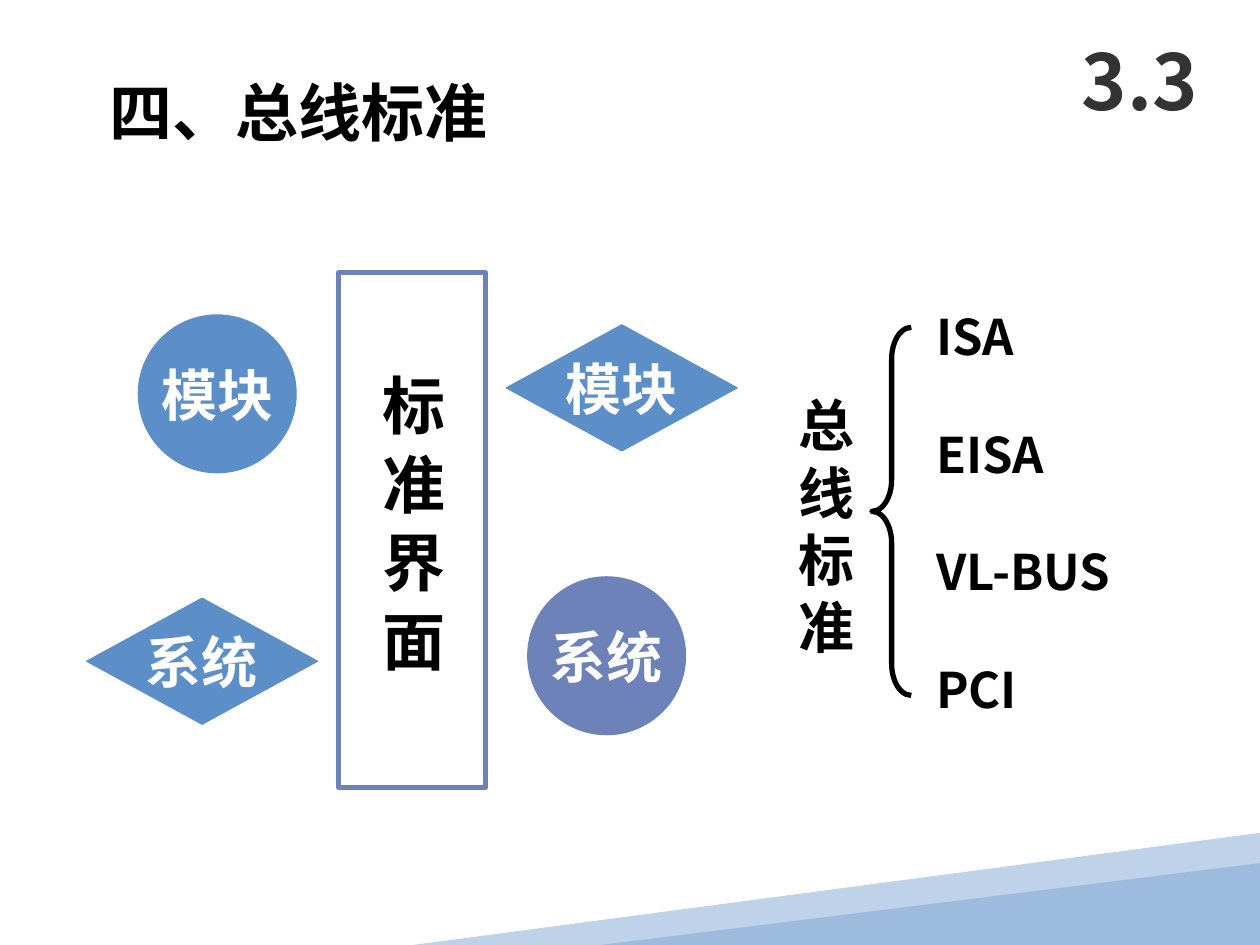
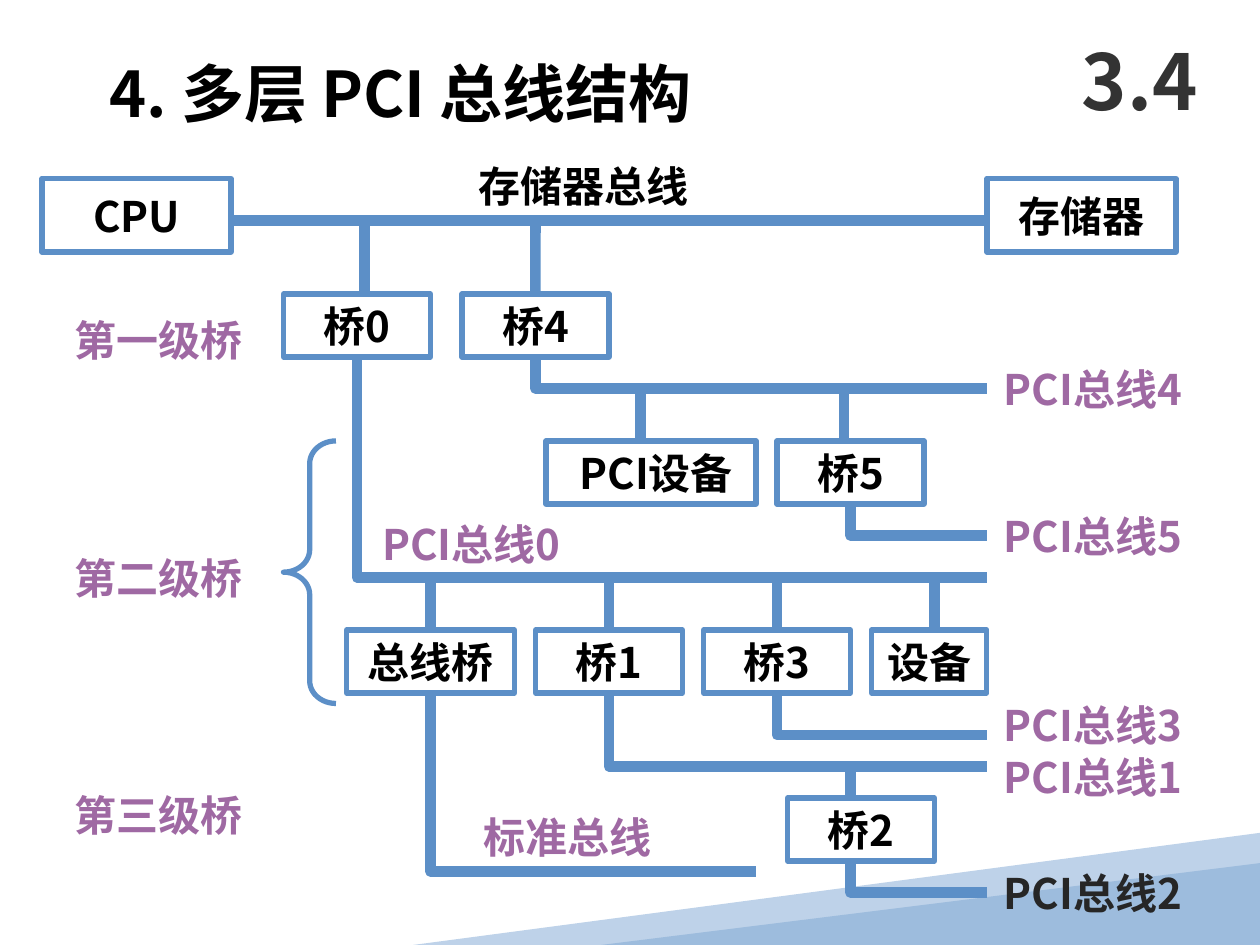
from dataclasses import dataclass
from typing import Any, Optional

from lxml.etree import SubElement
from pptx import Presentation
from pptx.dml.color import RGBColor
from pptx.enum.shapes import MSO_CONNECTOR, MSO_SHAPE
from pptx.enum.text import MSO_ANCHOR, MSO_AUTO_SIZE, PP_ALIGN
from pptx.oxml.ns import qn
from pptx.util import Cm, Pt

FONT = "Noto Sans CJK SC"
BLUE, INDIGO, PURPLE = "5C8FC7", "6E82BA", "9F69A3"
LIGHT_BAND, DARK_BAND = "BED2E9", "9DBCDD"
BLACK, WHITE, CHARCOAL, NEAR_BLACK = "000000", "FFFFFF", "333333", "262626"
LINE_HEIGHT = 1.2
BUS_WIDTH, OUTLINE_WIDTH = 6, 3
BUS_END = 94
GRID = 2.54 / 12  # the bus diagram stands on a grid of 12 steps to the inch


@dataclass
class TextStyle:
    size: float
    color: str = BLACK
    align: PP_ALIGN = PP_ALIGN.LEFT
    anchor: MSO_ANCHOR = MSO_ANCHOR.TOP
    wrap: bool = True
    gap: float = 0


TITLE = TextStyle(36)
SECTION = TextStyle(44, CHARCOAL, PP_ALIGN.CENTER, MSO_ANCHOR.MIDDLE)
BADGE = TextStyle(32, WHITE, PP_ALIGN.CENTER, MSO_ANCHOR.MIDDLE, wrap=False)
NODE = TextStyle(24, BLACK, PP_ALIGN.CENTER, MSO_ANCHOR.MIDDLE, wrap=False)
STANDARDS = TextStyle(28, gap=33.6)


@dataclass
class Badge:
    text: str
    kind: MSO_SHAPE
    left: float
    top: float
    width: float
    height: float
    color: str = BLUE


@dataclass
class Node:
    """A box in grid steps, hung by a stem from the bus at height bus."""
    text: str
    left: float
    top: float
    width: float = 14
    height: float = 6
    bus: Optional[float] = None
    stem: float = 0


@dataclass
class Elbow:
    """A bus in grid steps: down from a box, then to the right."""
    x: float
    top: float
    bottom: float
    end: float = BUS_END


@dataclass
class Label:
    text: str
    left: float
    top: float
    width: float
    color: str = PURPLE


BADGES = [
    Badge("模块", MSO_SHAPE.OVAL, 2.79, 6.35, 3.18, 3.18),
    Badge("系统", MSO_SHAPE.OVAL, 10.64, 11.63, 3.18, 3.18, INDIGO),
    Badge("系统", MSO_SHAPE.DIAMOND, 1.75, 12.06, 4.65, 2.54),
    Badge("模块", MSO_SHAPE.DIAMOND, 10.21, 6.55, 4.65, 2.54),
]

NODES = [
    Node("CPU", 4, 17, 18, 7),
    Node("存储器", 94, 17, 18, 7),
    Node("桥0", 27, 28, bus=21, stem=34.7),
    Node("桥4", 44, 28, bus=21, stem=51),
    Node("PCI设备", 52, 42, 20, bus=37, stem=61),
    Node("桥5", 74, 42, bus=37, stem=80.4),
    Node("总线桥", 33, 60, 16, bus=55, stem=41),
    Node("桥1", 51, 60, bus=55, stem=58),
    Node("桥3", 67, 60, bus=55, stem=74),
    Node("设备", 83, 60, 11, bus=55, stem=89),
    Node("桥2", 75, 76, bus=73, stem=81),
]

ELBOWS = [
    Elbow(51, 34, 37),
    Elbow(81, 48, 51),
    Elbow(34, 34, 55),
    Elbow(74, 66, 70),
    Elbow(58, 66, 73),
    Elbow(41, 66, 83, 72),
    Elbow(81, 82, 85),
]

LEVELS = [("第一级桥", 29.3), ("第二级桥", 52), ("第三级桥", 74.6)]
BUSES = [(4, 34), (5, 48), (3, 66), (1, 71)]
LABELS = [
    *(Label(text, 5.9, top, 18.4) for text, top in LEVELS),
    *(Label(f"PCI总线{number}", 94.4, top, 21.2) for number, top in BUSES),
    Label("PCI总线2", 94.4, 82, 21.2, NEAR_BLACK),
    Label("PCI总线0", 35.2, 48.8, 21.2),
    Label("标准总线", 44.9, 76.7, 18.4),
    Label("存储器总线", 44.4, 14.7, 22.4, BLACK),
]


def rgb(color: str) -> RGBColor:
    return RGBColor.from_string(color)


def grid(*steps: float) -> list[Cm]:
    return [Cm(step * GRID) for step in steps]


def cm(*values: float) -> list[Cm]:
    return [Cm(value) for value in values]


def apply_format(target: Any, values: dict[str, Any]) -> None:
    for name, value in values.items():
        setattr(target, name, value)


def place(shape: Any, left: Cm, top: Cm, width: Cm, height: Cm) -> None:
    apply_format(shape, {"left": left, "top": top, "width": width, "height": height})


def write(shape: Any, lines: list[str], style: TextStyle) -> None:
    """Fill a shape with one paragraph for each line."""
    frame = shape.text_frame
    apply_format(frame, {
        "auto_size": MSO_AUTO_SIZE.NONE,
        "word_wrap": style.wrap,
        "vertical_anchor": style.anchor,
        "margin_left": Cm(0.25), "margin_right": Cm(0.25),
        "margin_top": Cm(0.13), "margin_bottom": Cm(0.13),
    })
    for index, line in enumerate(lines):
        paragraph = frame.add_paragraph() if index else frame.paragraphs[0]
        apply_format(paragraph, {
            "alignment": style.align,
            "line_spacing": Pt(style.size * LINE_HEIGHT),
            "space_before": Pt(style.gap if index else 0),
            "space_after": Pt(0),
        })
        run = paragraph.add_run()
        run.text = line
        apply_format(run.font, {"name": FONT, "size": Pt(style.size), "bold": True})
        run.font.color.rgb = rgb(style.color)
    for properties in shape.element.iter(qn("a:rPr")):
        SubElement(properties, qn("a:ea")).set("typeface", FONT)


def paint(shape: Any, fill: Optional[str] = None, line: Optional[str] = None,
          width: float = 0.75) -> None:
    shape.shadow.inherit = False
    if fill:
        shape.fill.solid()
        shape.fill.fore_color.rgb = rgb(fill)
    else:
        shape.fill.background()
    if line:
        shape.line.color.rgb = rgb(line)
        shape.line.width = Pt(width)
    else:
        shape.line.fill.background()


def add_text(slide: Any, box: list[Cm], lines: list[str], style: TextStyle) -> Any:
    shape = slide.shapes.add_textbox(*box)
    write(shape, lines, style)
    return shape


def add_path(shapes: Any, points: list[list[Cm]], close: bool) -> Any:
    builder = shapes.build_freeform(*points[0], scale=1.0)
    builder.add_line_segments(points[1:], close=close)
    return builder.convert_to_shape()


def add_brace(slide: Any, box: list[Cm], bend: float, color: str) -> None:
    brace = slide.shapes.add_shape(MSO_SHAPE.LEFT_BRACE, *box)
    brace.adjustments[0] = bend
    paint(brace, line=color, width=OUTLINE_WIDTH)


def add_bands(slide: Any) -> None:
    group = slide.shapes.add_group_shape()
    corners = [cm(25.4, 16.79), cm(25.4, 18.9), cm(17.09, 19.05), cm(8.33, 19.05)]
    paint(add_path(group.shapes, corners, close=True), LIGHT_BAND)
    triangle = group.shapes.add_shape(MSO_SHAPE.ISOSCELES_TRIANGLE,
                                      *cm(12.12, 17.4, 13.28, 1.65))
    triangle.adjustments[0] = 1
    paint(triangle, DARK_BAND)


def start_slide(presentation: Any, layout: int, title: str, top: float,
                section: str) -> Any:
    """Add a slide with the shared bands, title and section number."""
    slide = presentation.slides.add_slide(presentation.slide_layouts[layout])
    add_bands(slide)
    place(slide.shapes.title, *cm(1.95, top, 16, 1.78))
    write(slide.shapes.title, [title], TITLE)
    add_text(slide, cm(21.39, 0.43, 3.18, 2.34), [section], SECTION)
    return slide


def add_bus_line(slide: Any, start: list[Cm], end: list[Cm]) -> Any:
    connector = slide.shapes.add_connector(MSO_CONNECTOR.STRAIGHT, *start, *end)
    connector.line.color.rgb = rgb(BLUE)
    connector.line.width = Pt(BUS_WIDTH)
    SubElement(connector.element.spPr, qn("a:effectLst"))
    return connector


def add_node(slide: Any, node: Node) -> Any:
    box = slide.shapes.add_shape(MSO_SHAPE.RECTANGLE,
                                 *grid(node.left, node.top, node.width, node.height))
    paint(box, line=BLUE, width=OUTLINE_WIDTH)
    write(box, [node.text], NODE)
    if node.bus is not None:
        stem = add_bus_line(slide, grid(node.stem, node.bus), grid(node.stem, node.top))
        if node.stem == node.left + node.width / 2:
            stem.end_connect(box, 0)
    return box


def build_standards_slide(presentation: Any) -> None:
    slide = start_slide(presentation, 1, "四、总线标准", 1.35, "3.3")

    standards = slide.placeholders[1]
    place(standards, *cm(18.62, 6.05, 5.16, 8.56))
    write(standards, ["ISA", "EISA", "VL-BUS", "PCI"], STANDARDS)
    for properties in standards.element.iter(qn("a:pPr")):
        apply_format(properties, {"marL": 0, "indent": 0})
        SubElement(properties, qn("a:buNone"))

    for badge in BADGES:
        shape = slide.shapes.add_shape(
            badge.kind, *cm(badge.left, badge.top, badge.width, badge.height))
        paint(shape, badge.color, badge.color)
        write(shape, [badge.text], BADGE)

    add_brace(slide, cm(17.58, 6.6, 0.79, 7.42), 0.81, BLACK)
    add_text(slide, cm(15.85, 7.75, 1.75, 5.69), list("总线标准"), TextStyle(32))

    interface = slide.shapes.add_shape(MSO_SHAPE.RECTANGLE, *cm(6.83, 5.5, 2.96, 10.37))
    paint(interface, line=INDIGO, width=OUTLINE_WIDTH)
    caption = add_text(slide, cm(7.29, 7.42, 2.03, 8.89), ["标 准 界 面"],
                       TextStyle(36, align=PP_ALIGN.CENTER))
    caption.element.find(f".//{qn('a:bodyPr')}").set("vert", "eaVert")


def build_bus_slide(presentation: Any) -> None:
    slide = start_slide(presentation, 5, "4. 多层 PCI 总线结构", 0.97, "3.4")
    add_brace(slide, grid(27, 42, 5, 25), 0.43, BLUE)
    add_bus_line(slide, grid(22, 21), grid(BUS_END, 21))
    for node in NODES:
        box = add_node(slide, node)
        if node.text == "PCI设备":
            box.text_frame.margin_left = Cm(0.46)
    for elbow in ELBOWS:
        points = [grid(elbow.x, elbow.top), grid(elbow.x, elbow.bottom),
                  grid(elbow.end, elbow.bottom)]
        paint(add_path(slide.shapes, points, close=False), line=BLUE, width=BUS_WIDTH)
    for label in LABELS:
        add_text(slide, grid(label.left, label.top, label.width, 6), [label.text],
                 TextStyle(24, label.color, wrap=False))


def main() -> None:
    presentation = Presentation()
    apply_format(presentation, {"slide_width": Cm(25.4), "slide_height": Cm(19.05)})
    build_standards_slide(presentation)
    build_bus_slide(presentation)
    presentation.save("out.pptx")


if __name__ == "__main__":
    main()
